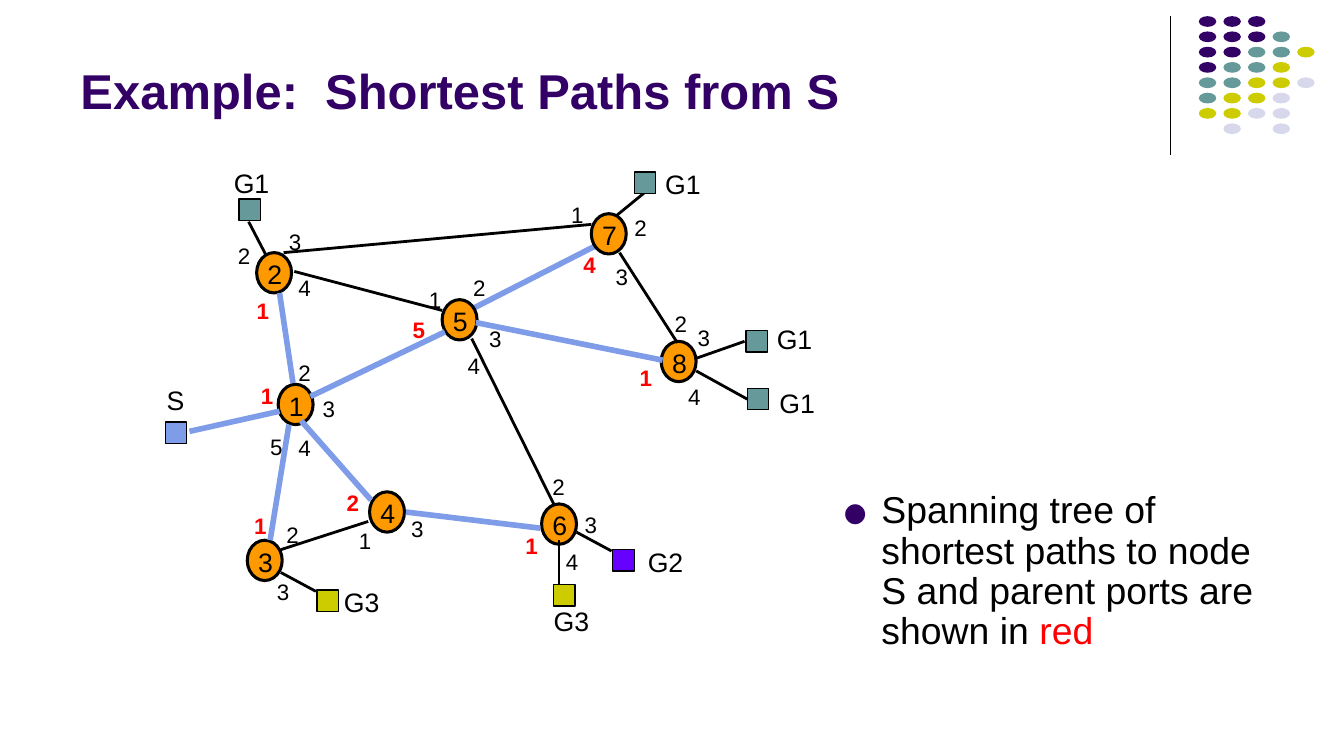
from lxml import etree
from pptx import Presentation
from pptx.dml.color import RGBColor
from pptx.enum.shapes import MSO_CONNECTOR, MSO_SHAPE
from pptx.enum.text import MSO_ANCHOR
from pptx.oxml.ns import qn
from pptx.util import Cm, Pt

OVAL, RECT = MSO_SHAPE.OVAL, MSO_SHAPE.RECTANGLE
STRAIGHT = MSO_CONNECTOR.STRAIGHT
TOP, BOTTOM = MSO_ANCHOR.TOP, MSO_ANCHOR.BOTTOM

COLORS = {
    "ink": "000000", "purple": "330066", "teal": "669999", "olive": "CCCC00",
    "pale": "D8D8EC", "orange": "FF9900", "blue": "7E9CE8", "violet": "6600FF",
    "red": "FF0000",
}


def inch(value):
    return Cm(value * 2.54)


def rgb(name):
    return RGBColor.from_string(COLORS[name])


class Sheet:
    font = "Arial"
    bullet_font = "Noto Sans Symbols"
    label_size = 14.25

    def __init__(self, slide):
        self.slide = slide

    def shape(self, kind, x, y, w, h, fill, line=0):
        shape = self.slide.shapes.add_shape(kind, inch(x), inch(y), inch(w), inch(h))
        shape.shadow.inherit = False
        shape.fill.solid()
        shape.fill.fore_color.rgb = rgb(fill)
        if line:
            shape.line.color.rgb = rgb("ink")
            shape.line.width = Pt(line)
        else:
            shape.line.fill.background()

    def line(self, x1, y1, x2, y2, color="ink", width=1.5):
        line = self.slide.shapes.add_connector(
            STRAIGHT, inch(x1), inch(y1), inch(x2), inch(y2))
        line.line.color.rgb = rgb(color)
        line.line.width = Pt(width)
        etree.SubElement(line._element.spPr, qn("a:effectLst"))

    def text(self, x, y, w, h, runs, size, bold=False, inset=(0, 0),
             wrap=False, anchor=TOP):
        box = self.slide.shapes.add_textbox(inch(x), inch(y), inch(w), inch(h))
        frame = box.text_frame
        frame.word_wrap = wrap
        frame.vertical_anchor = anchor
        frame.margin_left = frame.margin_right = inch(inset[0])
        frame.margin_top = frame.margin_bottom = inch(inset[1])
        paragraph = frame.paragraphs[0]
        for words, color in runs:
            run = paragraph.add_run()
            run.text = words
            run.font.name = self.font
            run.font.size = Pt(size)
            run.font.bold = bold
            run.font.color.rgb = rgb(color)
        return paragraph

    def bullet(self, paragraph, color, percent, indent):
        paragraph.line_spacing = 0.9
        paragraph.space_before = Pt(4)
        props = paragraph._p.get_or_add_pPr()
        props.set("marL", str(inch(indent)))
        props.set("indent", str(-inch(indent)))
        tint = etree.SubElement(props, qn("a:buClr"))
        etree.SubElement(tint, qn("a:srgbClr"), val=COLORS[color])
        etree.SubElement(props, qn("a:buSzPct"), val=str(percent * 1000))
        etree.SubElement(props, qn("a:buFont"), typeface=self.bullet_font)
        etree.SubElement(props, qn("a:buChar"), char="●")


# Widescreen page, 16 to 9
deck = Presentation()
deck.slide_width, deck.slide_height = inch(10), inch(10 * 9 / 16)
sheet = Sheet(deck.slides.add_slide(deck.slide_layouts[6]))

# Corner ornament: one letter per dot
DOT_COLORS = {"P": "purple", "T": "teal", "O": "olive", "L": "pale"}
DOT_ROWS = ["PPP", "PPPT", "PPTTO", "PTTO", "TTOOL", "TOOL", "OOLL", " L L"]
sheet.line(8.71, 0.12, 8.71, 1.15, width=0.75)
for row, letters in enumerate(DOT_ROWS):
    for column, letter in enumerate(letters):
        if letter in DOT_COLORS:
            sheet.shape(OVAL, 8.92 + column * 0.183, 0.12 + row * 0.114,
                        0.13, 0.08, DOT_COLORS[letter])

# Title and remark
sheet.text(0.5, 0.1, 8.25, 0.84, [("Example:  Shortest Paths from S", "purple")],
           26.25, bold=True, inset=(0.1, 0.05), wrap=True, anchor=BOTTOM)
remark = sheet.text(
    6.18, 3.61, 3.35, 1.44,
    [("Spanning tree of shortest paths to node S and parent ports are shown in ", "ink"),
     ("red", "red")], 20, inset=(0.1, 0.05), wrap=True)
sheet.bullet(remark, "purple", 70, 0.28)

# Links: black for plain ones, blue for the spanning tree
LINKS_BEHIND = [(1.98, 1.9, 1.85, 1.65), (4.58, 1.61, 4.8, 1.43)]
TREE_BEHIND = [(3.51, 2.3, 4.43, 1.83)]
LINKS = [
    (2.74, 3.88, 2.09, 4.09), (2.19, 2.02, 3.29, 2.31), (3.51, 2.52, 4.12, 3.75),
    (4.61, 1.88, 5.04, 2.55), (2.11, 1.88, 4.4, 1.67), (2.09, 4.26, 2.35, 4.4),
    (4.29, 3.96, 4.55, 4.1), (4.16, 4.35, 4.16, 4.02), (5.18, 2.76, 5.56, 2.97),
    (5.17, 2.67, 5.54, 2.54),
]
TREE = [
    (2.18, 2.85, 2.08, 2.18), (2.31, 2.95, 3.31, 2.47), (2.24, 3.13, 2.76, 3.72),
    (3.02, 3.81, 4.02, 3.93), (1.41, 3.21, 2.08, 3.06), (2.15, 3.16, 2.01, 4.02),
    (3.54, 2.4, 4.93, 2.68),
]

# Nodes: corner, parent port, and the place of each port number
NODES = {
    1: (2.07, 2.86, 1, [(1.94, 2.84), (2.22, 2.67), (2.4, 2.94), (2.22, 3.23), (2.01, 3.22)]),
    2: (1.91, 1.88, 1, [(1.91, 2.21), (1.77, 1.8), (2.15, 1.7), (2.22, 2.04)]),
    3: (1.84, 4.02, 1, [(1.89, 3.81), (2.13, 3.88), (2.06, 4.3)]),
    4: (2.75, 3.66, 2, [(2.67, 3.92), (2.58, 3.64), (3.06, 3.83)]),
    5: (3.29, 2.23, 5, [(3.19, 2.13), (3.52, 2.04), (3.64, 2.42), (3.48, 2.62), (3.07, 2.35)]),
    6: (4.03, 3.75, 1, [(3.91, 3.96), (4.11, 3.52), (4.35, 3.8), (4.21, 4.08)]),
    7: (4.4, 1.59, 4, [(4.25, 1.5), (4.72, 1.59), (4.58, 1.96), (4.34, 1.87)]),
    8: (4.92, 2.54, 1, [(4.76, 2.71), (5.02, 2.31), (5.19, 2.41), (5.12, 2.85)]),
}

# Hosts: name, square corner, label corner, colour
HOSTS = [
    ("S", 1.23, 3.14, 1.24, 2.86, "blue"),
    ("G1", 1.78, 1.48, 1.74, 1.24, "teal"),
    ("G1", 4.72, 1.28, 4.95, 1.25, "teal"),
    ("G1", 5.55, 2.46, 5.78, 2.4, "teal"),
    ("G1", 5.56, 2.89, 5.8, 2.88, "teal"),
    ("G2", 4.56, 4.09, 4.82, 4.06, "violet"),
    ("G3", 2.36, 4.39, 2.56, 4.36, "olive"),
    ("G3", 4.12, 4.35, 4.12, 4.5, "olive"),
]


def draw_links(links, tree):
    for ends in links:
        sheet.line(*ends)
    for ends in tree:
        sheet.line(*ends, color="blue", width=3)


draw_links(LINKS_BEHIND, TREE_BEHIND)
for x, y, _, _ in NODES.values():
    sheet.shape(OVAL, x, y, 0.26, 0.3, "orange", 1.63)
draw_links(LINKS, TREE)

for name, x, y, label_x, label_y, color in HOSTS:
    sheet.shape(RECT, x, y, 0.16, 0.16, color, 0.75)
    sheet.text(label_x, label_y, 0.13 if len(name) == 1 else 0.27, 0.24,
               [(name, "ink")], sheet.label_size)

for number, (x, y, parent, ports) in NODES.items():
    sheet.text(x + 0.08, y + 0.04, 0.11, 0.24, [(str(number), "ink")], sheet.label_size)
    for port, (port_x, port_y) in enumerate(ports, 1):
        on_tree = port == parent
        sheet.text(port_x, port_y, 0.09, 0.2,
                   [(str(port), "red" if on_tree else "ink")], 12, bold=on_tree)

deck.save("out.pptx")
